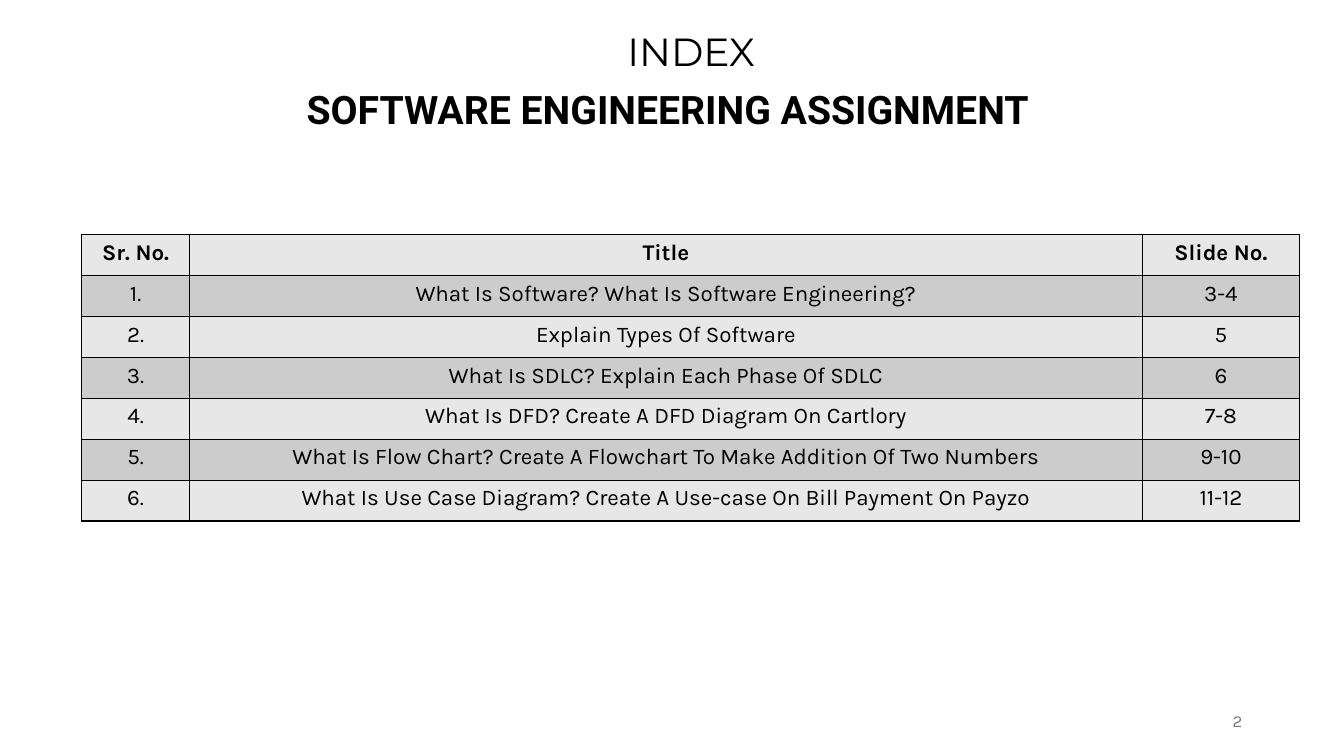
import pptx
import pptx.util
import pptx.dml.color
import pptx.enum.text
import pptx.oxml
import pptx.oxml.ns
import lxml.etree
from dataclasses import dataclass

PX = 9144  # EMU per px, 100 px to the inch
ALIGN = pptx.enum.text.PP_ALIGN


@dataclass(frozen=True)
class Theme:
    ink: str = "000000"
    mute: str = "797979"
    page: str = "FFFFFF"
    light: str = "E7E7E7"
    dark: str = "CCCCCC"
    head: str = "Roboto"
    top: str = "Montserrat"
    body: str = "Karla"
    big: int = 28
    mid: int = 16
    small: int = 12
    rule: int = 1


THEME = Theme()
HEADS = ("Sr. No.", "Title", "Slide No.")
TOPICS = (
    ("What Is Software? What Is Software Engineering?", "3-4"),
    ("Explain Types Of Software", "5"),
    ("What Is SDLC? Explain Each Phase Of SDLC", "6"),
    ("What Is DFD? Create A DFD Diagram On Cartlory", "7-8"),
    ("What Is Flow Chart? Create A Flowchart To Make Addition Of Two Numbers", "9-10"),
    ("What Is Use Case Diagram? Create A Use-case On Bill Payment On Payzo", "11-12"),
)


def emu(*px):
    return [round(n * PX) for n in px]


def color(code):
    return pptx.dml.color.RGBColor.from_string(code)


def write(frame, text, font, size, ink=THEME.ink, bold=False, align=ALIGN.CENTER):
    para = frame.paragraphs[0]
    para.alignment = align
    run = para.add_run()
    run.text = text
    run.font.name = font
    run.font.size = pptx.util.Pt(size)
    run.font.bold = bold
    run.font.color.rgb = color(ink)


def label(slide, box, text, font, size, **style):
    frame = slide.shapes.add_textbox(*emu(*box)).text_frame
    frame.word_wrap = True
    frame.vertical_anchor = pptx.enum.text.MSO_ANCHOR.MIDDLE
    write(frame, text, font, size, **style)


def border(cell):
    # Borders come before the fill in the cell properties
    props = cell._tc.get_or_add_tcPr()
    for spot, side in enumerate(("lnL", "lnR", "lnT", "lnB")):
        line = pptx.oxml.parse_xml(
            f'<a:{side} {pptx.oxml.ns.nsdecls("a")} w="{pptx.util.Pt(THEME.rule)}">'
            f'<a:solidFill><a:srgbClr val="{THEME.ink}"/></a:solidFill></a:{side}>')
        props.insert(spot, line)


def header(slide, x, y, w, h):
    half = h // 2
    label(slide, (x + 357, y, 167, half), "INDEX", THEME.top, THEME.big)
    label(slide, (x, y + half, w, half), "SOFTWARE ENGINEERING ASSIGNMENT ",
          THEME.head, THEME.big, bold=True)


def index(slide, x, y, w, h):
    rows = [HEADS] + [(f"{n}.", *topic) for n, topic in enumerate(TOPICS, 1)]
    table = slide.shapes.add_table(len(rows), len(HEADS), *emu(x, y, w, h)).table
    first, last = 107, 156
    for col, width in zip(table.columns, emu(first, w - first - last, last)):
        col.width = width
    for r, row in enumerate(rows):
        table.rows[r].height = emu(h / len(rows))[0]
        for c, text in enumerate(row):
            cell = table.cell(r, c)
            cell.fill.solid()
            cell.fill.fore_color.rgb = color(THEME.dark if r % 2 else THEME.light)
            border(cell)
            write(cell.text_frame, text, THEME.body, THEME.mid, bold=r == 0)


def footer(slide, x, y, w, h):
    label(slide, (x, y, w, h), "2", THEME.body, THEME.small,
          ink=THEME.mute, align=ALIGN.RIGHT)


def main():
    deck = pptx.Presentation()
    deck.slide_width, deck.slide_height = emu(1333, 750)
    slide = deck.slides.add_slide(deck.slide_layouts[6])
    slide.background.fill.solid()
    slide.background.fill.fore_color.rgb = color(THEME.page)
    # Title lines, index table, page number
    header(slide, 245, 22, 843, 114)
    index(slide, 81, 233, 1208, 284)
    footer(slide, 942, 695, 300, 40)
    deck.save("out.pptx")


if __name__ == "__main__":
    main()
